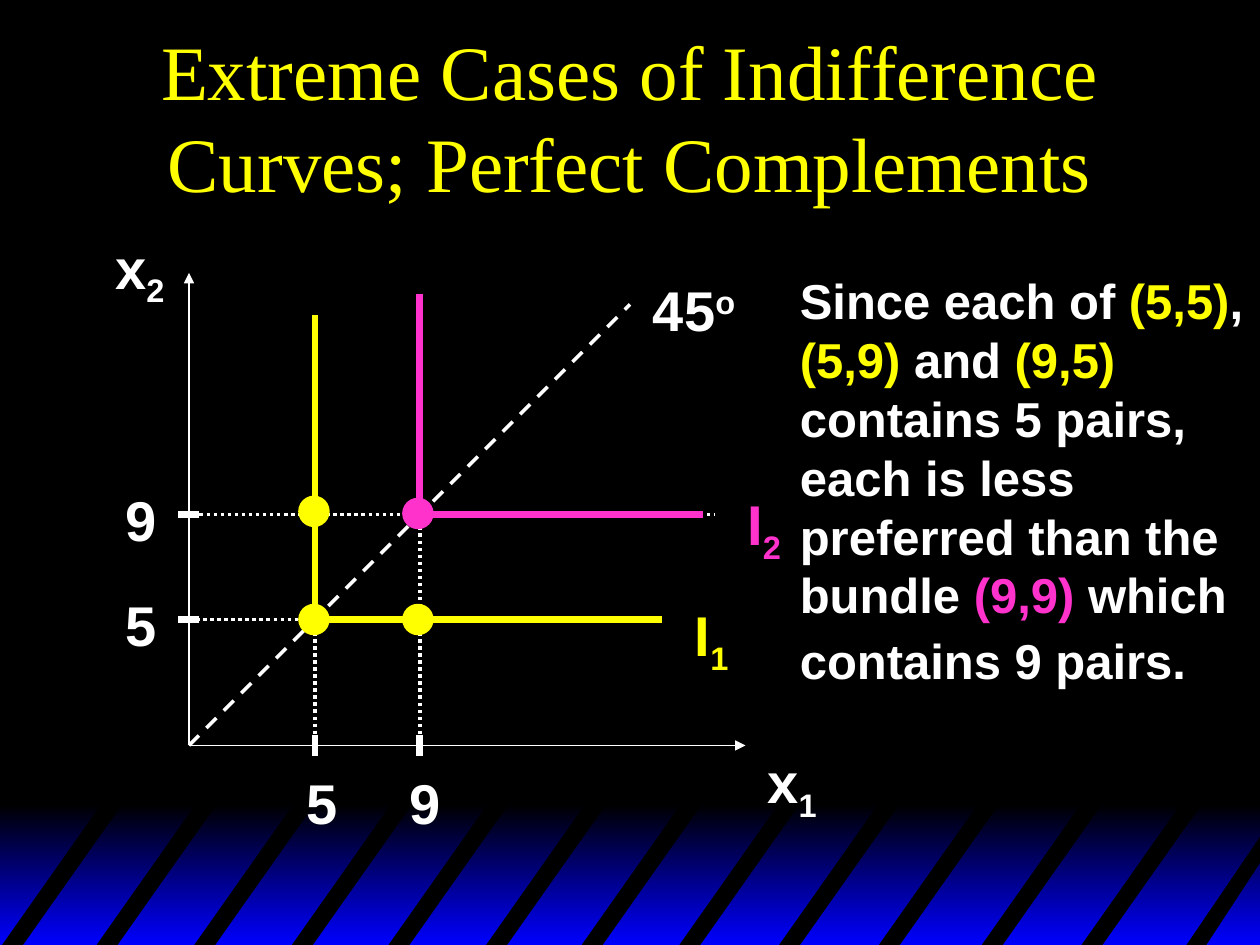
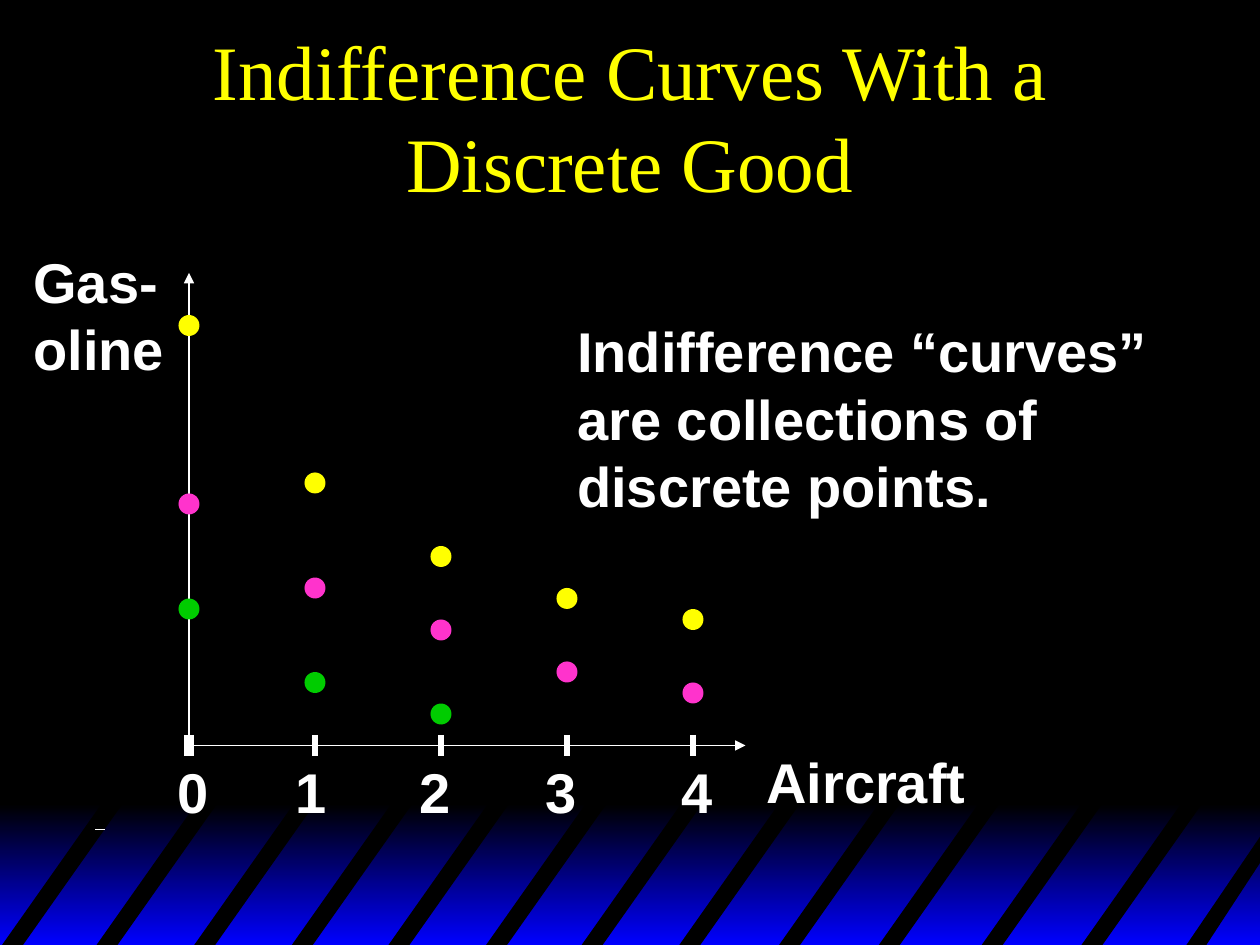
"""Build two slides on indifference curves over a shared striped master."""
from dataclasses import dataclass
from typing import NamedTuple, Optional

from lxml import etree
from pptx import Presentation
from pptx.dml.color import RGBColor
from pptx.enum.dml import MSO_LINE
from pptx.enum.shapes import MSO_CONNECTOR, MSO_SHAPE
from pptx.enum.text import MSO_ANCHOR, MSO_AUTO_SIZE, PP_ALIGN
from pptx.oxml.ns import qn
from pptx.slide import Slide
from pptx.util import Inches, Pt

DASH, DOTS = MSO_LINE.DASH, MSO_LINE.ROUND_DOT
STRAIGHT = MSO_CONNECTOR.STRAIGHT
RECT, OVAL = MSO_SHAPE.RECTANGLE, MSO_SHAPE.OVAL
MIDDLE, CENTER = MSO_ANCHOR.MIDDLE, PP_ALIGN.CENTER
FIXED, GROW = MSO_AUTO_SIZE.NONE, MSO_AUTO_SIZE.SHAPE_TO_FIT_TEXT

WIDTH, HEIGHT = Inches(10), Inches(7.5)
COLS, ROWS = 120, 90
LEFT, BASE = 18, 71


@dataclass(frozen=True)
class Theme:
    black: str = "000000"
    blue: str = "0000FF"
    white: str = "FFFFFF"
    yellow: str = "FFFF00"
    pink: str = "FF33CC"
    green: str = "00CC00"
    serif: str = "Times New Roman"
    sans: str = "Arial"
    head: int = 44
    label: int = 32
    note: int = 28
    thin: int = 1
    guide: int = 2
    thick: int = 4
    heavy: int = 6
    sub: int = -25
    sup: int = 30


T = Theme()


class Box(NamedTuple):
    left: float
    top: float
    wide: float
    high: float


class Run(NamedTuple):
    text: str
    color: Optional[str] = None
    size: Optional[int] = None
    shift: int = 0


@dataclass(frozen=True)
class Label:
    box: Box
    runs: tuple[Run, ...]
    color: str = T.white
    size: int = T.label
    wrap: bool = False


@dataclass(frozen=True)
class Line:
    start: tuple[float, float]
    end: tuple[float, float]
    width: int = T.thick
    color: str = T.white
    dash: Optional[MSO_LINE] = None
    arrow: bool = False


@dataclass(frozen=True)
class Dot:
    col: float
    row: float
    color: str
    size: float = 2


def across(col: float) -> int:
    return round(WIDTH * col / COLS)


def down(row: float) -> int:
    return round(HEIGHT * row / ROWS)


def place(box: Box) -> tuple[int, int, int, int]:
    return across(box.left), down(box.top), across(box.wide), down(box.high)


def rgb(color: str) -> RGBColor:
    return RGBColor.from_string(color)


def write(shape, runs: tuple[Run, ...], *, size: int, color: str, font: str = T.sans,
          bold: bool = True, wrap: bool = False, fit: MSO_AUTO_SIZE = GROW) -> None:
    frame = shape.text_frame
    frame.word_wrap = wrap
    frame.auto_size = fit
    para = frame.paragraphs[0]
    for part in runs:
        for i, text in enumerate(part.text.split("\n")):
            if i:
                para.add_line_break()
            run = para.add_run()
            run.text = text
            run.font.name, run.font.bold = font, bold
            run.font.size = Pt(part.size or size)
            run.font.color.rgb = rgb(part.color or color)
            if part.shift:
                mark = list(shape.element.iter(qn("a:rPr")))[-1]
                mark.set("baseline", str(part.shift * 1000))


def draw_label(slide: Slide, item: Label) -> None:
    shape = slide.shapes.add_textbox(*place(item.box))
    write(shape, item.runs, size=item.size, color=item.color, wrap=item.wrap)


def draw_line(slide: Slide, item: Line) -> None:
    (x, y), (u, v) = item.start, item.end
    link = slide.shapes.add_connector(STRAIGHT, across(x), down(y), across(u), down(v))
    link.line.color.rgb = rgb(item.color)
    link.line.width = Pt(item.width)
    if item.dash is not None:
        link.line.dash_style = item.dash
    props = link.element.spPr
    if item.arrow:
        etree.SubElement(props.find(qn("a:ln")), qn("a:tailEnd"), type="triangle")
    etree.SubElement(props, qn("a:effectLst"))


def draw_dot(slide: Slide, item: Dot) -> None:
    half = item.size / 2
    box = Box(item.col - half, item.row - half, item.size, item.size)
    paint(slide.shapes.add_shape(OVAL, *place(box)), item.color)


def paint(shape, color: str) -> None:
    shape.shadow.inherit = False
    shape.fill.solid()
    shape.fill.fore_color.rgb = rgb(color)
    shape.line.fill.background()


def stripe(slide: Slide, points: list[tuple[float, float]]):
    spots = [(across(x), down(y)) for x, y in points]
    pen = slide.shapes.build_freeform(*spots[0], scale=1.0)
    pen.add_line_segments(spots[1:], close=True)
    shape = pen.convert_to_shape()
    paint(shape, T.black)
    return shape


def dress(slide: Slide) -> None:
    master = slide.slide_layout.slide_master
    master.background.fill.solid()
    master.background.fill.fore_color.rgb = rgb(T.black)
    band = slide.shapes.add_shape(RECT, *place(Box(0, 76.6, COLS, 13.4)))
    paint(band, T.black)
    band.fill.gradient()
    band.fill.gradient_angle = 270
    for stop, color, spot in zip(band.fill.gradient_stops, (T.black, T.blue), (0, 1)):
        stop.color.rgb, stop.position = rgb(color), spot
    parts = [band]
    for x in (0.2, 9.2, 18.5, 27.8, 37, 46.3, 55.4, 64.7, 74.2, 83.7, 93.5, 103):
        parts.append(stripe(slide, [(x, ROWS), (x + 9.8, 76.1), (x + 11.8, 76.1), (x + 2, ROWS)]))
    parts.append(stripe(slide, [(113, ROWS), (COLS, 79.7), (COLS, 82.2), (114.9, ROWS)]))
    for i, part in enumerate(parts, 2):
        master.shapes.element.insert(i, part.element)


def start(deck, head: str) -> Slide:
    slide = deck.slides.add_slide(deck.slide_layouts[5])
    title = slide.shapes.title
    title.left, title.top, title.width, title.height = place(Box(9, 3, 102, 16))
    write(title, (Run(head),), size=T.head, color=T.yellow, font=T.serif,
          bold=False, wrap=True, fit=FIXED)
    title.text_frame.vertical_anchor = MIDDLE
    title.text_frame.paragraphs[0].alignment = CENTER
    for end in ((LEFT, 26), (BASE, BASE)):
        draw_line(slide, Line((LEFT, BASE), end, T.thin, arrow=True))
    return slide


def tick(slide: Slide, col: float, width: int = T.thick) -> None:
    draw_line(slide, Line((col, BASE - 1), (col, BASE + 1), width))


def digit(slide: Slide, text: str, col: float, row: float) -> None:
    draw_label(slide, Label(Box(col, row, 5.4, 7.6), (Run(text),)))


def pair(text: str, shift: int, mark: str) -> tuple[Run, Run]:
    return Run(text), Run(mark, shift=shift)


def bends(slide: Slide) -> None:
    for col, row in ((30, 59), (40, 49)):
        tick(slide, col)
        draw_line(slide, Line((LEFT + 1, row), (LEFT - 1, row)))
    for item in (
        Line((LEFT, BASE), (60, 29), T.guide, dash=DASH),
        Line((30, 30), (30, BASE), T.guide, dash=DOTS),
        Line((LEFT, 59), (63, 59), T.guide, dash=DOTS),
        Line((40, 28), (40, BASE), T.guide, dash=DOTS),
        Line((LEFT + 1, 49), (68, 49), T.guide, dash=DOTS),
        Line((30, 30), (30, 59), color=T.yellow),
        Line((30, 59), (63, 59), color=T.yellow),
    ):
        draw_line(slide, item)
    for col, row in ((29.9, 48.7), (29.9, 59), (39.8, 59)):
        draw_dot(slide, Dot(col, row, T.yellow, 3))
    for start_at, end in (((40, 28), (40, 49)), ((40, 49), (67, 49))):
        draw_line(slide, Line(start_at, end, color=T.pink))
    draw_dot(slide, Dot(39.8, 48.9, T.pink, 3))
    for text, col, row in (("5", 10.8, 55.6), ("9", 10.8, 45.6),
                           ("5", 28, 72.6), ("9", 37.8, 72.6)):
        digit(slide, text, col, row)
    note = (
        Run("Since each of "), Run("(5,5)", T.yellow), Run(", "),
        Run("(5,9)", T.yellow), Run(" and "), Run("(9,5)", T.yellow),
        Run(" contains 5 pairs, each is less preferred than the bundle "),
        Run("(9,9) ", T.pink), Run("which contains 9 pairs."), Run(" ", size=T.label),
    )
    for item in (
        Label(Box(9.8, 21.6, 7.1, 8.5), pair("x", T.sub, "2")),
        Label(Box(71.9, 70.6, 7.1, 8.5), pair("x", T.sub, "1")),
        Label(Box(70, 46, 7, 8.5), pair("I", T.sub, "2"), T.pink, wrap=True),
        Label(Box(65, 56.6, 6, 8.5), pair("I", T.sub, "1"), T.yellow, wrap=True),
        Label(Box(61, 25.6, 10.2, 7.6), pair("45", T.sup, "o")),
        Label(Box(75, 25.2, 45, 41.3), note, size=T.note, wrap=True),
    ):
        draw_label(slide, item)


def points(slide: Slide) -> None:
    draw_line(slide, Line((10, 79), (9, 79), T.thin))
    for i, col in enumerate((15.7, 27, 38.8, 50.8, 63.7)):
        tick(slide, LEFT + 12 * i, T.thick if i else T.heavy)
        digit(slide, str(i), col, 71.6)
    for color, rows in ((T.yellow, (31, 46, 53, 57, 59)),
                        (T.pink, (48, 56, 60, 64, 66)),
                        (T.green, (58, 65, 68))):
        for i, row in enumerate(rows):
            draw_dot(slide, Dot(LEFT + 12 * i, row, color))
    note = "Indifference “curves”\nare collections of\ndiscrete points."
    for item in (
        Label(Box(2, 23, 15, 14), (Run("Gas-oline"),), wrap=True),
        Label(Box(71.8, 70.6, 21.5, 7.6), (Run("Aircraft"),)),
        Label(Box(53.8, 29.6, 56.8, 20.4), (Run(note),)),
    ):
        draw_label(slide, item)


def main() -> None:
    deck = Presentation()
    deck.slide_width, deck.slide_height = WIDTH, HEIGHT
    first = start(deck, "Extreme Cases of Indifference Curves; Perfect Complements")
    dress(first)
    bends(first)
    points(start(deck, "Indifference Curves With a Discrete Good"))
    deck.save("out.pptx")


if __name__ == "__main__":
    main()
